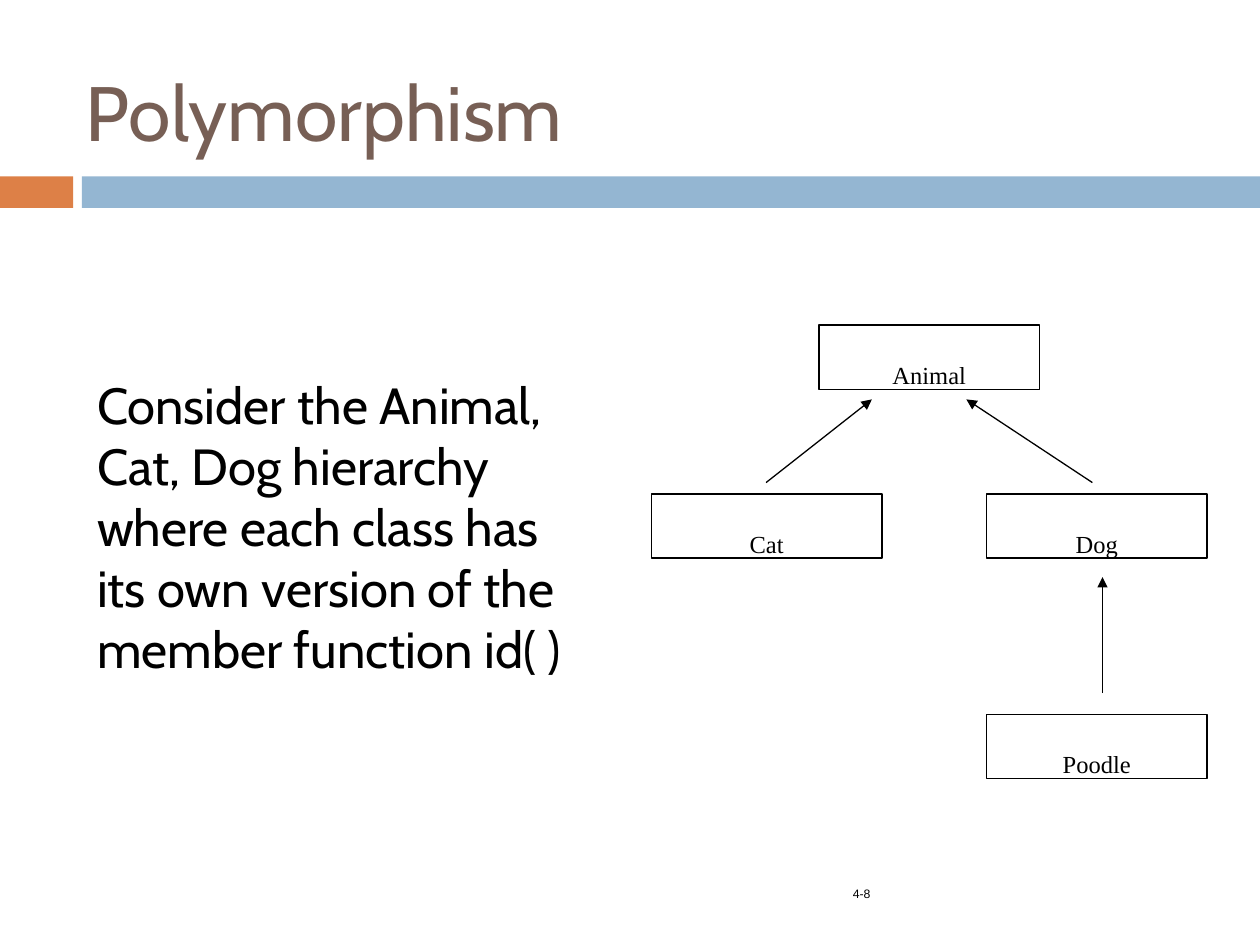
from lxml import etree
from pptx import Presentation
from pptx.dml.color import RGBColor
from pptx.enum.shapes import MSO_CONNECTOR as CONN, MSO_SHAPE as SHAPE
from pptx.enum.text import MSO_ANCHOR as ANCHOR, MSO_AUTO_SIZE as FIT, PP_ALIGN as ALIGN
from pptx.oxml.ns import qn
from pptx.util import Inches, Pt

BLACK = "000000"
BOX_H = 0.51


def color(code):
    return RGBColor.from_string(code)


def place(sp, left, top, width, height):
    sp.left, sp.top = Inches(left), Inches(top)
    sp.width, sp.height = Inches(width), Inches(height)


def write(sp, text, size, font, code=BLACK, align=ALIGN.LEFT, anchor=ANCHOR.TOP):
    tf = sp.text_frame
    tf.text = text
    tf.word_wrap = True
    tf.auto_size = FIT.NONE
    tf.vertical_anchor = anchor
    p = tf.paragraphs[0]
    p.alignment = align
    f = p.runs[0].font
    f.size, f.name = Pt(size), font
    f.color.rgb = color(code)
    return p


def add_rect(s, left, top, width, height, fill=None):
    sp = s.shapes.add_shape(SHAPE.RECTANGLE, Inches(left), Inches(top),
                            Inches(width), Inches(height))
    sp.shadow.inherit = False
    if fill:
        sp.fill.solid()
        sp.fill.fore_color.rgb = color(fill)
        sp.line.fill.background()
    else:
        sp.fill.background()
        sp.line.color.rgb = color(BLACK)
        sp.line.width = Pt(0.75)
    return sp


def add_class_box(s, name, left, top, width=1.75):
    sp = add_rect(s, left, top, width, BOX_H)
    sp.text_frame.margin_bottom = 0
    write(sp, name, 14, "Times New Roman", align=ALIGN.CENTER, anchor=ANCHOR.BOTTOM)


def add_arrow(s, x1, y1, x2, y2):
    line = s.shapes.add_connector(CONN.STRAIGHT, Inches(x1), Inches(y1),
                                  Inches(x2), Inches(y2))
    line.line.color.rgb = color(BLACK)
    line.line.width = Pt(0.75)
    etree.SubElement(line.line._get_or_add_ln(), qn("a:tailEnd"), type="triangle")
    etree.SubElement(line._element.spPr, qn("a:effectLst"))


def main():
    prs = Presentation()
    prs.slide_width, prs.slide_height = Inches(10), Inches(7.5)
    s = prs.slides.add_slide(prs.slide_layouts[1])

    # Band under the title
    add_rect(s, 0, 1.4, 0.58, 0.25, "DD8047")
    add_rect(s, 0.65, 1.4, 9.35, 0.25, "94B6D2")

    # Title and body
    title, body = s.shapes.title, s.placeholders[1]
    place(title, 0.58, 0.33, 8.92, 1.09)
    write(title, "Polymorphism", 44, "Cabin", "775F55", anchor=ANCHOR.MIDDLE)
    place(body, 0.67, 2.92, 4.17, 3.42)
    p = write(body, "Consider the Animal, Cat, Dog hierarchy where each class has "
              "its own version of the member function id( )", 29, "Cabin")
    p.space_before = Pt(7)
    pPr = p._p.get_or_add_pPr()
    pPr.set("marL", "0")
    pPr.set("indent", "0")
    etree.SubElement(pPr, qn("a:buNone"))

    # Page number
    number = s.shapes.add_textbox(Inches(6.67), Inches(6.83), Inches(2.92), Inches(0.4))
    number.text_frame.margin_top = Inches(0.17)
    write(number, "4-8", 7, "Arial", anchor=ANCHOR.MIDDLE)

    # Class hierarchy
    add_class_box(s, "Animal", 6.5, 2.58)
    add_class_box(s, "Cat", 5.17, 3.92, 1.83)
    add_class_box(s, "Dog", 7.83, 3.92)
    add_class_box(s, "Poodle", 7.83, 5.67)
    for ends in ((6.08, 3.83, 6.92, 3.17), (8.67, 3.83, 7.67, 3.17),
                 (8.75, 5.5, 8.75, 4.58)):
        add_arrow(s, *ends)

    prs.save("out.pptx")


main()
